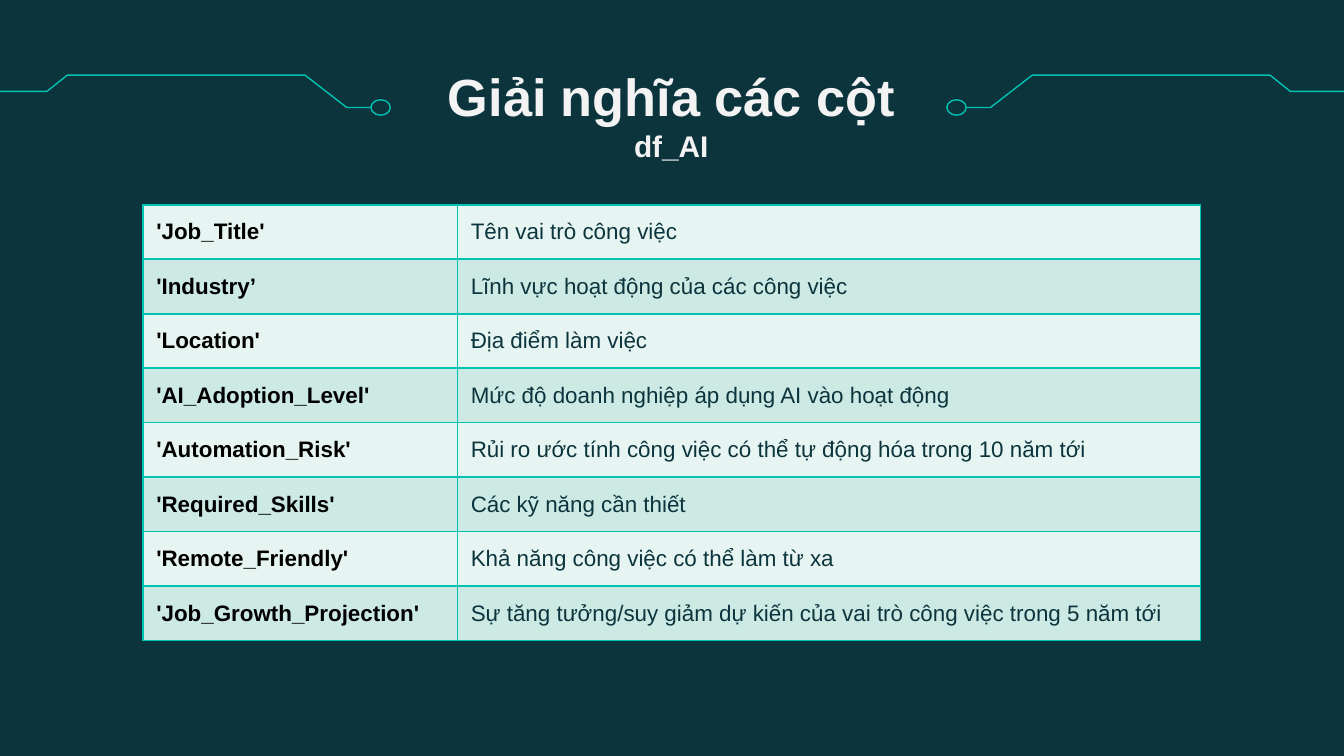
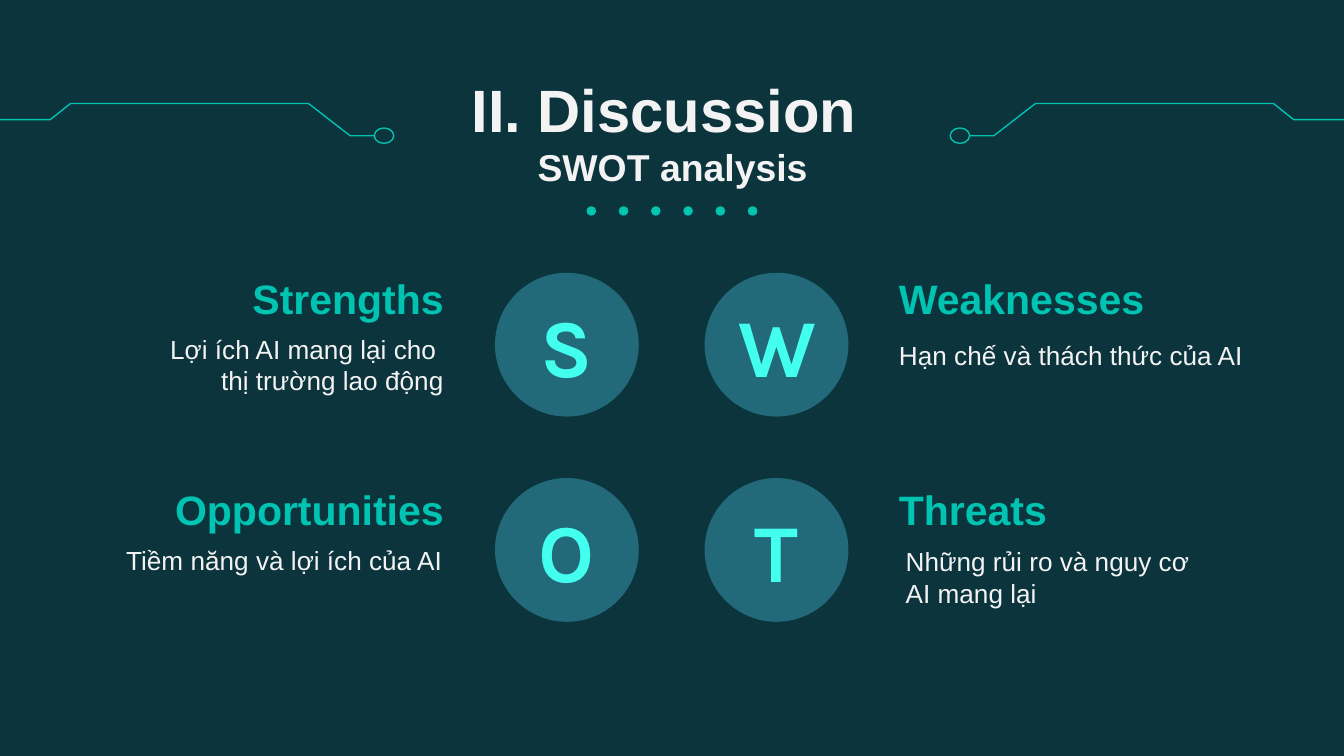
from lxml.etree import SubElement
from pptx import Presentation
from pptx.dml.color import RGBColor
from pptx.enum.shapes import MSO_SHAPE
from pptx.enum.text import MSO_ANCHOR, MSO_AUTO_SIZE, PP_ALIGN
from pptx.oxml.ns import qn
from pptx.util import Inches, Pt

# Shared look
COLORS = {
    "background": "0C343D", "light": "F3F3F3", "accent": "00C3B1",
    "bubble": "48C0DB", "letter": "42FFEE", "column_name": "000000",
    "row_odd": "E7F5F2", "row_even": "CCE9E4",
}
FONT = "Arial"
LETTER_FONT = "Karla"
INSET = Inches(0.1)
WIDTH = Inches(10)
HEIGHT = WIDTH * 9 // 16
UNIT = WIDTH / 100  # square grid, 100 columns across the slide

# Circuit trace: grid offsets from its node, on the left side
TRACE = [(-28.2, -1.2), (-24.1, -1.2), (-22.6, -2.4), (-4.9, -2.4), (-1.8, 0), (0, 0)]
NODE_SIZE = (1.45, 1.15)

# Content
DATA_COLUMNS = [
    ("'Job_Title'", "Tên vai trò công việc"),
    ("'Industry’", "Lĩnh vực hoạt động của các công việc"),
    ("'Location'", "Địa điểm làm việc"),
    ("'AI_Adoption_Level'", "Mức độ doanh nghiệp áp dụng AI vào hoạt động"),
    ("'Automation_Risk'", "Rủi ro ước tính công việc có thể tự động hóa trong 10 năm tới"),
    ("'Required_Skills'", "Các kỹ năng cần thiết"),
    ("'Remote_Friendly'", "Khả năng công việc có thể làm từ xa"),
    ("'Job_Growth_Projection'",
     "Sự tăng tưởng/suy giảm dự kiến của vai trò công việc trong 5 năm tới"),
]

# Letter, heading, note lines, note box (left, top, width); two per row
SWOT = [
    ("S", "Strengths", ["Lợi ích AI mang lại cho ", "thị trường lao động"], (3.6, 23.5, 30.4)),
    ("W", "Weaknesses", ["Hạn chế và thách thức của AI"], (65.9, 22.8, 29.2)),
    ("O", "Opportunities", ["Tiềm năng và lợi ích của AI"], (7.9, 38, 26)),
    ("T", "Threats", ["Những rủi ro và nguy cơ AI mang lại"], (66.4, 39.3, 23.9)),
]


def grid(*lengths):
    return [round(length * UNIT) for length in lengths]


def color(name):
    return RGBColor.from_string(COLORS[name])


def style(font, size, color_name, bold=False, name=FONT):
    font.name, font.size, font.bold = name, Pt(size), bold
    font.color.rgb = color(color_name)


def set_insets(frame):
    frame.margin_left = frame.margin_right = INSET
    frame.margin_top = frame.margin_bottom = INSET


def add_text(frame, lines, align, *look, **options):
    """Fill a frame with middle-anchored paragraphs of one look."""
    set_insets(frame)
    frame.word_wrap = True
    frame.vertical_anchor = MSO_ANCHOR.MIDDLE
    frame.text = "\n".join(lines)
    for paragraph in frame.paragraphs:
        paragraph.alignment = align
        style(paragraph.font, *look, **options)


def add_title(slide, box, heading, heading_size, subtitle, subtitle_size):
    title = slide.shapes.title
    title.left, title.top, title.width, title.height = grid(*box)
    frame = title.text_frame
    set_insets(frame)
    frame.auto_size = MSO_AUTO_SIZE.NONE
    frame.vertical_anchor = MSO_ANCHOR.TOP
    paragraph = frame.paragraphs[0]
    paragraph.alignment = PP_ALIGN.CENTER
    style(paragraph.font, heading_size, "light", bold=True)
    paragraph.add_run().text = heading
    paragraph.add_line_break()
    subtitle_run = paragraph.add_run()
    subtitle_run.text = subtitle
    subtitle_run.font.size = Pt(subtitle_size)


def add_ellipse(slide, box, fill=None):
    ellipse = slide.shapes.add_shape(MSO_SHAPE.OVAL, *grid(*box))
    ellipse.shadow.inherit = False
    if fill:
        ellipse.fill.solid()
        ellipse.fill.fore_color.rgb = color(fill)
        ellipse.line.fill.background()
    else:
        outline(ellipse)
    return ellipse


def outline(shape):
    shape.shadow.inherit = False
    shape.fill.background()
    shape.line.color.rgb = color("accent")
    shape.line.width = Pt(0.75)


def add_circuit(slide, node_x, node_y, side):
    """Draw a trace ending in a node; side is 1 on the left, -1 on the right."""
    start, *rest = [grid(node_x + side * dx, node_y + dy) for dx, dy in TRACE]
    builder = slide.shapes.build_freeform(*start)
    builder.add_line_segments(rest, close=False)
    outline(builder.convert_to_shape())
    width, height = NODE_SIZE
    node_left = node_x if side == 1 else node_x - width
    add_ellipse(slide, (node_left, node_y - height / 2, width, height))


def add_borders(cell):
    properties = cell._tc.get_or_add_tcPr()
    for edge in ("a:lnL", "a:lnR", "a:lnT", "a:lnB"):
        border = SubElement(properties, qn(edge), w=str(Pt(1)))
        fill = SubElement(border, qn("a:solidFill"))
        SubElement(fill, qn("a:srgbClr"), val=COLORS["accent"])


def add_dictionary(slide, box, column_widths):
    table = slide.shapes.add_table(len(DATA_COLUMNS), 2, *grid(*box)).table
    table.first_row = table.horz_banding = False
    for column, width in zip(table.columns, grid(*column_widths)):
        column.width = width
    for row, entry in enumerate(DATA_COLUMNS):
        for col, text in enumerate(entry):
            cell = table.cell(row, col)
            add_borders(cell)
            cell.fill.solid()
            cell.fill.fore_color.rgb = color("row_even" if row % 2 else "row_odd")
            cell.vertical_anchor = MSO_ANCHOR.MIDDLE
            cell.text = text
            is_name = col == 0
            style(cell.text_frame.paragraphs[0].font, 12,
                  "column_name" if is_name else "background", bold=is_name)


def add_bubble(slide, box, letter):
    bubble = add_ellipse(slide, box, "bubble")
    fill_color = bubble._element.spPr.find(".//" + qn("a:srgbClr"))
    SubElement(fill_color, qn("a:alpha"), val="38000")
    add_text(bubble.text_frame, [letter], PP_ALIGN.CENTER, 44, "letter",
             bold=True, name=LETTER_FONT)


def add_label(slide, box, lines, align, *look, **options):
    label = slide.shapes.add_textbox(*grid(*box))
    add_text(label.text_frame, lines, align, *look, **options)


def add_quadrant(slide, index, letter, heading, note, note_box):
    row, col = divmod(index, 2)
    align = PP_ALIGN.LEFT if col else PP_ALIGN.RIGHT
    heading_left = 65.9 if col else 10.1
    add_label(slide, (heading_left, 19.3 + 15.7 * row, 23.9, 5.8), [heading],
              align, 22, "accent", bold=True)
    add_label(slide, (*note_box, 7.3), note, align, 14, "light")
    add_bubble(slide, (36.83 + 15.6 * col, 20.3 + 15.27 * row, 10.7, 10.7), letter)


def build_dictionary_slide(slide):
    add_title(slide, (7.8, 3.8, 84.3, 6.3), "Giải nghĩa các cột", 28, "df_AI", 16)
    add_circuit(slide, 27.6, 8, 1)
    add_circuit(slide, 71.9, 8, -1)
    add_dictionary(slide, (10.63, 15.24, 78.7, 32.43), (23.4, 55.3))


def build_swot_slide(slide):
    add_title(slide, (7.9, 4.4, 84.3, 12.8), "II. Discussion ", 32, "SWOT analysis", 20)
    for index, quadrant in enumerate(SWOT):
        add_quadrant(slide, index, *quadrant)
    for dot in range(6):
        add_ellipse(slide, (43.65 + 2.4 * dot, 15.35, 0.7, 0.7), "accent")
    add_circuit(slide, 27.85, 10.1, 1)
    add_circuit(slide, 72.15, 10.1, -1)


def main():
    prs = Presentation()
    prs.slide_width, prs.slide_height = WIDTH, HEIGHT
    background = prs.slide_master.background.fill
    background.solid()
    background.fore_color.rgb = color("background")
    title_only = prs.slide_layouts[5]
    for build in (build_dictionary_slide, build_swot_slide):
        build(prs.slides.add_slide(title_only))
    prs.save("out.pptx")


if __name__ == "__main__":
    main()
